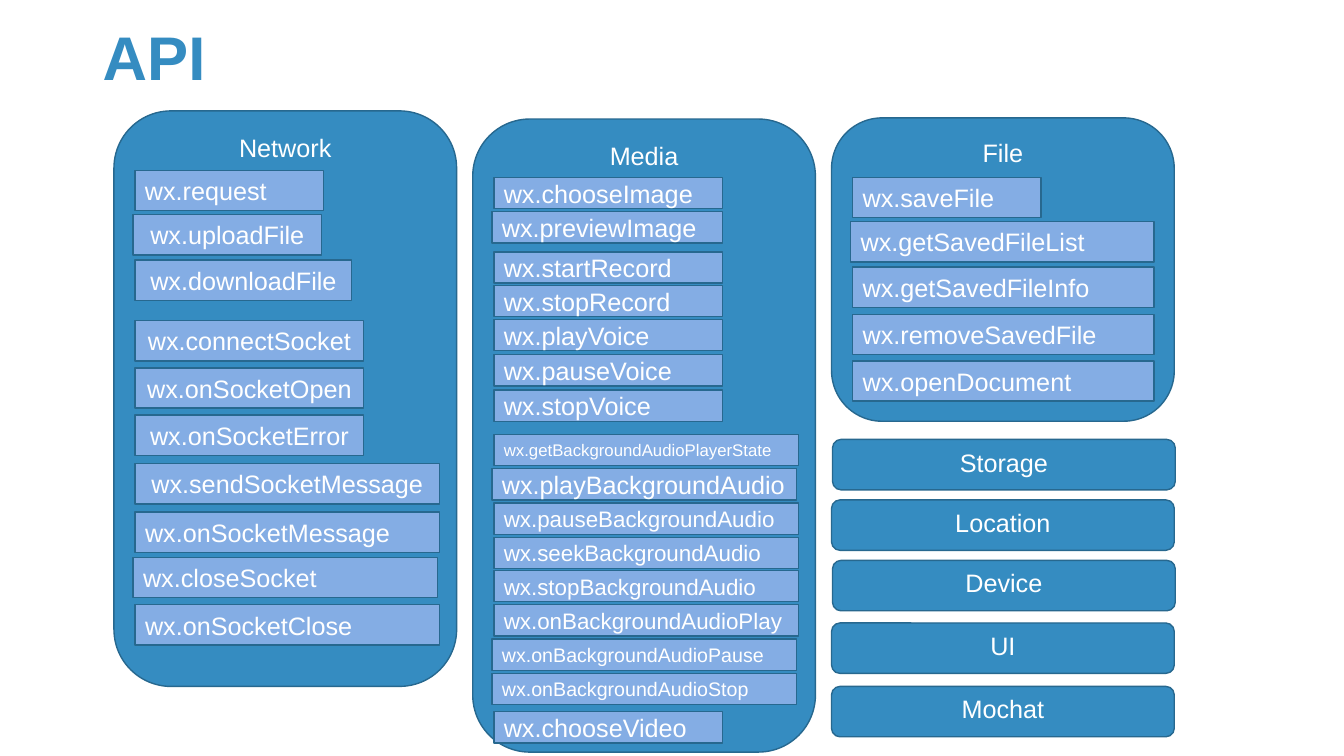
"""Build the API overview slide: grouped calls in panels beside a stack of bars."""
from dataclasses import dataclass

import pptx
import pptx.dml.color
import pptx.enum.shapes
import pptx.enum.text
import pptx.util

BLUE = pptx.dml.color.RGBColor(0x35, 0x8C, 0xC1)
EDGE = pptx.dml.color.RGBColor(0x27, 0x68, 0x8F)
LIGHT = pptx.dml.color.RGBColor(0x84, 0xAD, 0xE4)
WHITE = pptx.dml.color.RGBColor(0xFF, 0xFF, 0xFF)

Pt = pptx.util.Pt
SHAPE = pptx.enum.shapes.MSO_SHAPE
ALIGN = pptx.enum.text.PP_ALIGN
ANCHOR = pptx.enum.text.MSO_ANCHOR

PANEL_W = 244.8
BAR_H = 36
INSET = 15.1
NUDGE = -1.4
SHORT, MEDIUM, LONG = 134.6, 163.4, 217.4
FILE_W = 215.3


@dataclass
class Call:
    """An API call; dx shifts it sideways within its panel."""
    name: str
    top: float
    width: float
    size: float = 18
    dx: float = 0
    align: ALIGN = ALIGN.LEFT


@dataclass
class Panel:
    """A titled group of API calls that share one height."""
    title: str
    left: float
    top: float
    height: float
    call_height: float
    calls: list[Call]


@dataclass
class Bar:
    """A single topic without listed calls."""
    title: str
    left: float
    top: float


PANELS = [
    Panel("Network", 81.4, 79.2, 411.1, 28.8, [
        Call("wx.request", 121.7, SHORT),
        Call("wx.uploadFile", 153.4, SHORT, dx=NUDGE, align=ALIGN.CENTER),
        Call("wx.downloadFile", 185.8, 154.8, align=ALIGN.CENTER),
        Call("wx.connectSocket", 229, MEDIUM, align=ALIGN.CENTER),
        Call("wx.onSocketOpen", 262.8, MEDIUM, align=ALIGN.CENTER),
        Call("wx.onSocketError", 296.6, MEDIUM, align=ALIGN.CENTER),
        Call("wx.sendSocketMessage", 331.2, LONG, align=ALIGN.CENTER),
        Call("wx.onSocketMessage", 365.8, LONG),
        Call("wx.closeSocket", 398.2, LONG, dx=NUDGE),
        Call("wx.onSocketClose", 432, LONG),
    ]),
    Panel("Media", 337.7, 85, 452.2, 22.3, [
        Call("wx.chooseImage", 126.7, MEDIUM),
        Call("wx.previewImage", 151.2, MEDIUM - NUDGE, dx=NUDGE),
        Call("wx.startRecord", 180, MEDIUM),
        Call("wx.stopRecord", 203.8, MEDIUM),
        Call("wx.playVoice", 228.2, MEDIUM),
        Call("wx.pauseVoice", 253.4, MEDIUM),
        Call("wx.stopVoice", 278.6, MEDIUM),
        Call("wx.getBackgroundAudioPlayerState", 310.3, LONG, 12),
        Call("wx.playBackgroundAudio", 334.8, LONG, dx=NUDGE),
        Call("wx.pauseBackgroundAudio", 359.3, LONG, 16),
        Call("wx.seekBackgroundAudio", 383.8, LONG, 16),
        Call("wx.stopBackgroundAudio", 407.5, LONG, 16),
        Call("wx.onBackgroundAudioPlay", 432, LONG, 16),
        Call("wx.onBackgroundAudioPause", 456.5, LONG, 14, NUDGE),
        Call("wx.onBackgroundAudioStop", 481, LONG, 14, NUDGE),
        Call("wx.chooseVideo", 508.3, MEDIUM),
    ]),
    Panel("File", 594, 84.2, 216.7, 28.8, [
        Call("wx.saveFile", 126.7, SHORT),
        Call("wx.getSavedFileList", 158.4, FILE_W - NUDGE, dx=NUDGE),
        Call("wx.getSavedFileInfo", 190.8, FILE_W),
        Call("wx.removeSavedFile", 224.6, FILE_W),
        Call("wx.openDocument", 257.8, FILE_W),
    ]),
]

BARS = [
    Bar("Storage", 594.7, 313.9),
    Bar("Location", 594, 357.1),
    Bar("Device", 594.7, 400.3),
    Bar("UI", 594, 445),
    Bar("Mochat", 594, 490.3),
]


def write(sp, text: str, *, size: float = 18, color=WHITE, bold: bool = False,
          align=ALIGN.LEFT, anchor=ANCHOR.MIDDLE, spacing: float = 1.0) -> None:
    """Put one formatted paragraph into a shape."""
    tf = sp.text_frame
    tf.word_wrap = True
    tf.vertical_anchor = anchor
    p = tf.paragraphs[0]
    p.alignment = align
    p.line_spacing = spacing
    p.space_before = Pt(0)
    r = p.add_run()
    r.text = text
    r.font.name = "Arial"
    r.font.size = Pt(size)
    r.font.bold = bold
    r.font.color.rgb = color


def add_box(s, kind, left: float, top: float, width: float, height: float, fill):
    """Add a flat outlined shape and return it."""
    sp = s.shapes.add_shape(kind, Pt(left), Pt(top), Pt(width), Pt(height))
    sp.shadow.inherit = False
    sp.fill.solid()
    sp.fill.fore_color.rgb = fill
    sp.line.color.rgb = EDGE
    sp.line.width = Pt(1)
    return sp


def add_topic(s, title: str, left: float, top: float, height: float) -> None:
    """Draw a rounded blue block with its title at the top."""
    sp = add_box(s, SHAPE.ROUNDED_RECTANGLE, left, top, PANEL_W, height, BLUE)
    write(sp, title, align=ALIGN.CENTER, anchor=ANCHOR.TOP)


def add_panel(s, panel: Panel) -> None:
    """Draw a panel and the calls listed in it."""
    add_topic(s, panel.title, panel.left, panel.top, panel.height)
    for call in panel.calls:
        sp = add_box(s, SHAPE.RECTANGLE, panel.left + INSET + call.dx, call.top,
                     call.width, panel.call_height, LIGHT)
        write(sp, call.name, size=call.size, align=call.align)


def add_title(s, text: str) -> None:
    """Place and fill the title placeholder."""
    sp = s.shapes.title
    sp.left, sp.top, sp.width, sp.height = Pt(66.2), Pt(14.4), Pt(828), Pt(57.6)
    write(sp, text, size=44, color=BLUE, bold=True, spacing=0.9)


def main() -> None:
    """Build and save the presentation."""
    prs = pptx.Presentation()
    prs.slide_width, prs.slide_height = Pt(960), Pt(540)
    s = prs.slides.add_slide(prs.slide_layouts.get_by_name("Title Only"))
    add_title(s, "API")
    for panel in PANELS:
        add_panel(s, panel)
    for bar in BARS:
        add_topic(s, bar.title, bar.left, bar.top, BAR_H)
    prs.save("out.pptx")


if __name__ == "__main__":
    main()
